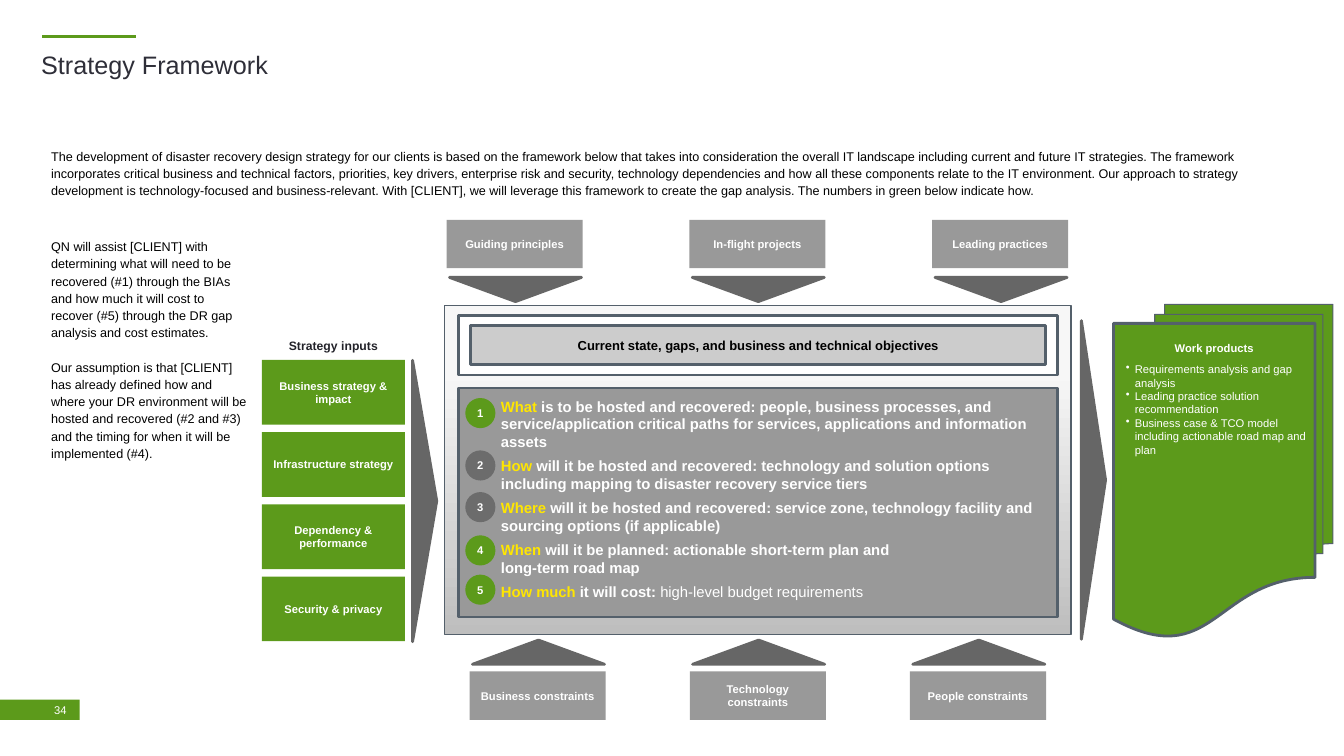
from lxml.etree import SubElement
from pptx import Presentation
from pptx.dml.color import RGBColor
from pptx.enum.shapes import MSO_CONNECTOR, MSO_SHAPE
from pptx.enum.text import MSO_ANCHOR, PP_ALIGN
from pptx.oxml.ns import qn
from pptx.util import Cm, Pt

COLOURS = {
    "green": "5C9A1B", "yellow": "FFE600", "white": "FFFFFF", "black": "000000",
    "title": "2E2E38", "label": "23232A", "slate": "54606B", "arrow": "666666",
    "badge": "6C6C6C", "grey": "999999", "silver": "CCCCCC",
    "fade_dark": "BEBEBE", "fade_light": "F7F7F7",
}
FONT = "Arial"
TIGHT = (0.18, 0.1, 0.18, 0.1)
DEFAULT = (0.25, 0.13, 0.25, 0.13)

INTRO = (
    "The development of disaster recovery design strategy for our clients is based on the framework "
    "below that takes into consideration the overall IT landscape including current and future IT "
    "strategies. The framework incorporates critical business and technical factors, priorities, key "
    "drivers, enterprise risk and security, technology dependencies and how all these components relate "
    "to the IT environment. Our approach to strategy development is technology-focused and "
    "business-relevant. With [CLIENT], we will leverage this framework to create the gap analysis. The "
    "numbers in green below indicate how."
)
APPROACH = [
    "QN will assist [CLIENT] with determining what will need to be recovered (#1) through the BIAs and "
    "how much it will cost to recover (#5) through the DR gap analysis and cost estimates.",
    "Our assumption is that [CLIENT] has already defined how and where your DR environment will be "
    "hosted and recovered (#2 and #3) and the timing for when it will be implemented (#4).",
]
INPUTS = ["Business strategy & impact", "Infrastructure strategy",
          "Dependency & performance", "Security & privacy"]
DRIVERS = ["Guiding principles", "In-flight projects", "Leading practices"]
CONSTRAINTS = ["Business constraints", "Technology constraints", "People constraints"]
# keyword, bold text, regular text, badge top, badge colour
QUESTIONS = [
    ("What ", "is to be hosted and recovered: people, business processes, and service/application "
     "critical paths for services, applications and information assets", "", 10.03, "green"),
    ("How ", "will it be hosted and recovered: technology and solution options including mapping to "
     "disaster recovery service tiers", "", 11.35, "badge"),
    ("Where ", "will it be hosted and recovered: service zone, technology facility and sourcing "
     "options (if applicable)", "", 12.4, "badge"),
    ("When ", "will it be planned: actionable short-term plan and \nlong-term road map", "",
     13.49, "green"),
    ("How much ", "it will cost: ", "high-level budget requirements", 14.48, "green"),
]
PRODUCTS = ["Requirements analysis and gap analysis", "Leading practice solution recommendation",
            "Business case & TCO model including actionable road map and plan"]


def rgb(name):
    return RGBColor.from_string(COLOURS[name])


def style_font(font, size, colour, bold=False):
    font.name, font.size, font.bold = FONT, Pt(size), bold
    font.color.rgb = rgb(colour)


def set_frame(frame, insets, anchor=MSO_ANCHOR.TOP, wrap=True):
    frame.margin_left, frame.margin_top, frame.margin_right, frame.margin_bottom = map(Cm, insets)
    frame.vertical_anchor, frame.word_wrap = anchor, wrap


def next_para(frame, index):
    return frame.add_paragraph() if index else frame.paragraphs[0]


def add_shape(page, kind, place, fill, line=None, width=2, rotation=0):
    """Add a preset shape; place is left, top, width, height in centimetres."""
    shape = page.shapes.add_shape(kind, *map(Cm, place))
    shape.shadow.inherit = False
    shape.rotation = rotation
    shape.fill.solid()
    shape.fill.fore_color.rgb = rgb(fill)
    if line:
        shape.line.color.rgb = rgb(line)
        shape.line.width = Pt(width)
    else:
        shape.line.fill.background()
    return shape


def add_label(shape, text, size=8, colour="white", insets=TIGHT, bold=True):
    """Write one centred line in the middle of a shape."""
    set_frame(shape.text_frame, insets, MSO_ANCHOR.MIDDLE)
    para = shape.text_frame.paragraphs[0]
    para.text, para.alignment = text, PP_ALIGN.CENTER
    style_font(para.font, size, colour, bold)


def add_text(page, place, texts, size, colour, insets=DEFAULT, spacing=None):
    box = page.shapes.add_textbox(*map(Cm, place))
    set_frame(box.text_frame, insets)
    for index, text in enumerate(texts):
        para = next_para(box.text_frame, index)
        para.text = text
        if spacing:
            para.line_spacing = spacing
        if index:
            para.space_before = spacing
        style_font(para.font, size, colour)
    return box


def add_triangle(page, place, rotation=0):
    add_shape(page, MSO_SHAPE.ISOSCELES_TRIANGLE, place, "arrow", "arrow", rotation=rotation)


def add_factor_row(page, texts, left, pitch, box_top, arrow_top, rotation):
    """Add a row of grey boxes, each with an arrowhead towards the framework."""
    for index, text in enumerate(texts):
        x = left + index * pitch
        add_label(add_shape(page, MSO_SHAPE.RECTANGLE, (x, box_top, 3.43, 1.22), "grey"), text)
        add_triangle(page, (x + 0.07, arrow_top, 3.33, 0.61), rotation)


def add_span(para, text, colour, bold):
    for index, part in enumerate(text.split("\n")):
        if index:
            para.add_line_break()
        span = para.add_run()
        span.text = part
        style_font(span.font, 10.6, colour, bold)


def add_header(page):
    add_shape(page, MSO_SHAPE.RECTANGLE, (0, 17.63, 2.01, 0.51), "green")
    rule = page.shapes.add_connector(MSO_CONNECTOR.STRAIGHT, Cm(1.07), Cm(0.91), Cm(3.43), Cm(0.91))
    rule.line.color.rgb = rgb("green")
    rule.line.width = Pt(2.25)
    SubElement(rule._element.spPr, qn("a:effectLst"))
    add_text(page, (1.04, 1.24, 29.59, 1.32), ["Strategy Framework"], 18, "title", (0, 0, 0, 0))
    number = page.shapes.add_textbox(Cm(1.04), Cm(17.63), Cm(0.97), Cm(0.51))
    add_label(number, "34", insets=DEFAULT, bold=False)
    number.text_frame.word_wrap = False
    add_text(page, (1.04, 3.51, 30.96, 2.06), [INTRO], 9, "black", (0.25, 0.18, 0.25, 0.18), Pt(12.3))
    add_text(page, (1.04, 5.84, 5.44, 5.79), APPROACH, 9, "black", spacing=Pt(12.3))


def add_inputs(page):
    heading = page.shapes.add_textbox(Cm(6.6), Cm(8.41), Cm(3.61), Cm(0.53))
    add_label(heading, "Strategy inputs", 8.7, "label", (0, 0.08, 0, 0))
    for index, text in enumerate(INPUTS):
        place = (6.6, 9.07 + index * 1.82, 3.61, 1.63)
        add_label(add_shape(page, MSO_SHAPE.RECTANGLE, place, "green"), text)
    add_triangle(page, (7.16, 12.32, 7.09, 0.61), 90)


def add_framework(page):
    panel = add_shape(page, MSO_SHAPE.RECTANGLE, (11.2, 7.7, 15.8, 8.28), "white", "slate", 0.75)
    panel.fill.gradient()
    panel.fill.gradient_angle = 90
    for stop, colour, position in zip(panel.fill.gradient_stops, ("fade_dark", "fade_light"), (0, 0.8)):
        stop.color.rgb = rgb(colour)
        stop.position = position
    add_shape(page, MSO_SHAPE.RECTANGLE, (11.56, 7.95, 15.09, 1.5), "white", "slate")
    goal = add_shape(page, MSO_SHAPE.RECTANGLE, (11.86, 8.2, 14.5, 0.99), "silver", "slate")
    add_label(goal, "Current state, gaps, and business and technical objectives", 9.3, "black")

    board = add_shape(page, MSO_SHAPE.RECTANGLE, (11.56, 9.78, 15.11, 5.77), "grey", "slate")
    set_frame(board.text_frame, (0.18, 0.23, 0.18, 0.1))
    for index, (keyword, text, detail, top, colour) in enumerate(QUESTIONS):
        para = next_para(board.text_frame, index)
        para._p.get_or_add_pPr().set("marL", str(Cm(0.89)))
        para.alignment, para.space_after = PP_ALIGN.LEFT, Pt(4.4)
        add_span(para, keyword, "yellow", True)
        add_span(para, text, "white", True)
        if detail:
            add_span(para, detail, "white", False)
        badge = add_shape(page, MSO_SHAPE.OVAL, (11.73, top, 0.76, 0.76), colour)
        add_label(badge, str(index + 1), insets=(0, 0, 0, 0))


def add_products(page):
    add_triangle(page, (23.55, 11.79, 8.03, 0.61), 90)
    for left, top in ((29.36, 7.67), (29.11, 7.92)):
        add_shape(page, MSO_SHAPE.FLOWCHART_DOCUMENT, (left, top, 4.24, 7.52), "green", "slate", 0.75)
    sheet = add_shape(page, MSO_SHAPE.FLOWCHART_DOCUMENT, (28.07, 8.15, 5.08, 7.98), "green", "slate")
    set_frame(sheet.text_frame, (0.18, 0.46, 0.18, 0.1))
    for index, text in enumerate(["Work products"] + PRODUCTS):
        para = next_para(sheet.text_frame, index)
        para.text = text
        if index:
            para.alignment = PP_ALIGN.LEFT
            properties = para._p.get_or_add_pPr()
            properties.set("marL", str(Cm(0.36)))
            properties.set("indent", str(Cm(-0.23)))
            SubElement(properties, qn("a:buChar"), char="•")
        else:
            para.alignment, para.space_after = PP_ALIGN.CENTER, Pt(5.3)
        style_font(para.font, 8, "white", index == 0)


def main():
    deck = Presentation()
    deck.slide_width, deck.slide_height = Cm(33.88), Cm(19.05)
    page = deck.slides.add_slide(deck.slide_layouts[6])
    add_header(page)
    add_inputs(page)
    add_framework(page)
    add_factor_row(page, DRIVERS, 11.26, 6.12, 5.54, 6.99, 180)
    add_factor_row(page, CONSTRAINTS, 11.84, 5.55, 16.92, 16.13, 0)
    add_products(page)
    deck.save("out.pptx")


if __name__ == "__main__":
    main()
